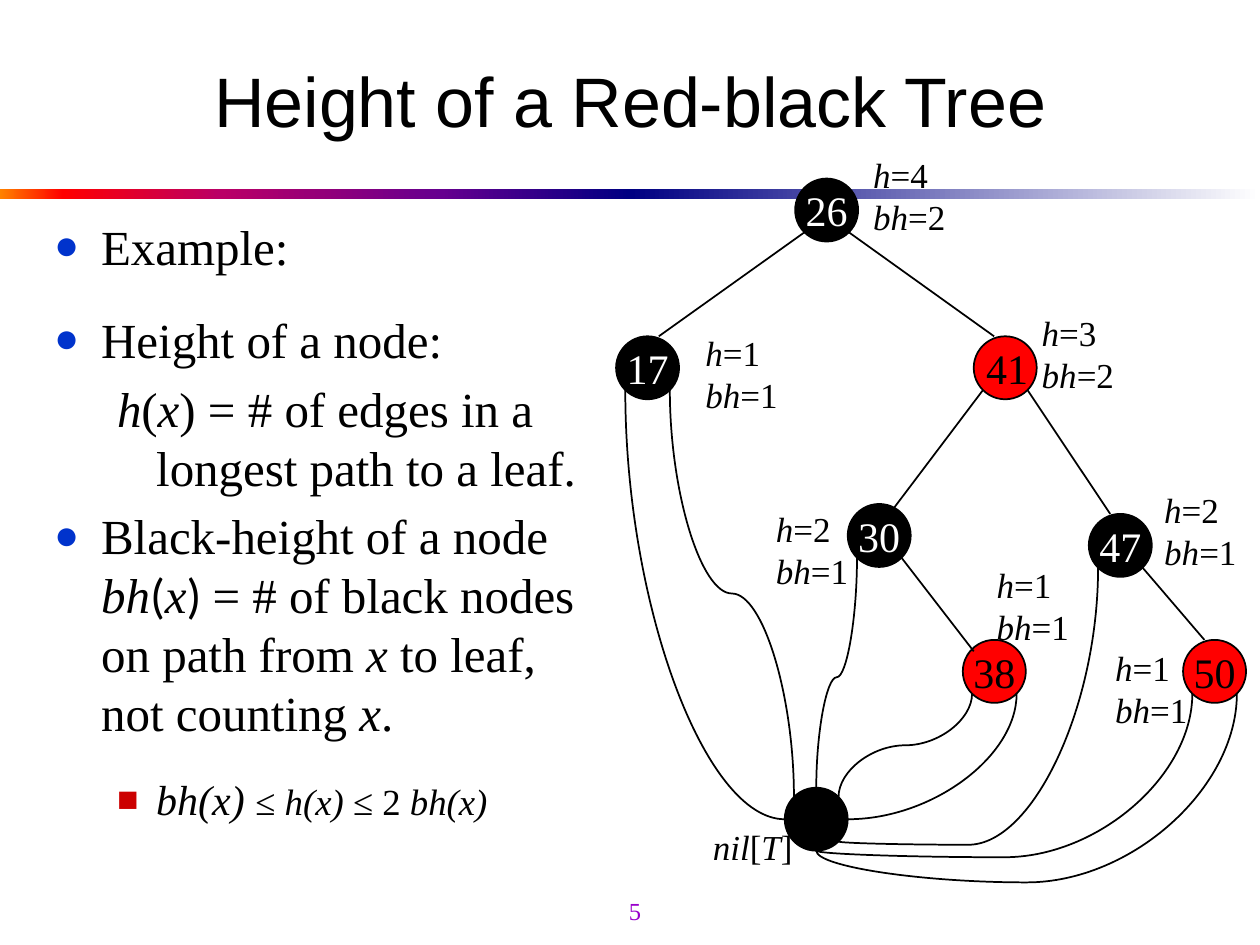
from dataclasses import dataclass
from math import cos, radians, sin

from lxml.etree import SubElement
from pptx import Presentation
from pptx.dml.color import RGBColor
from pptx.enum.shapes import MSO_CONNECTOR as Link, MSO_SHAPE as Preset
from pptx.enum.text import MSO_ANCHOR as Anchor, MSO_AUTO_SIZE as Fit, PP_ALIGN as Align
from pptx.oxml.ns import qn
from pptx.util import Cm, Pt


@dataclass(frozen=True)
class Theme:
    heading: str = "Arial"
    serif: str = "Times New Roman"
    sans: str = "Calibri"
    black: str = "000000"
    white: str = "FFFFFF"
    red: str = "FF0000"
    dot: str = "0033CC"
    square: str = "CC0000"
    number: str = "9900CC"
    title_size: int = 40
    body_size: int = 28
    node_size: int = 24
    formula_size: int = 21
    label_size: int = 20
    number_size: int = 14
    line: int = 1


theme = Theme()

TITLE = "Height of a Red-black Tree"
PAGE_NUMBER = "5"
BAR_TOP, BAR_HEIGHT, BAR_WIDTH = 3.81, 0.2, 12.7
BARS = [
    [(0, "FF8200"), (10, "FF0000"), (35, "BA0066"), (70, "66008F"), (100, "000082")],
    [(0, "000082"), (100, "FFFFFF")],
]

DOT, SQUARE = ("●", theme.dot), ("■", theme.square)
OUTER, INNER = (0.95, -0.95), (2.06, -0.79)
BODY = [
    (DOT, OUTER, 0, [("Example:",)]),
    (DOT, OUTER, 19.6, [("Height of a node:",)]),
    (None, INNER, 5.6, [("*h*(*x*) = # of edges in a longest path to a leaf.",)]),
    (DOT, OUTER, 5.6, [
        ("Black-height of a node *bh*",), ("(", theme.sans), ("*x*",), (") ", theme.sans),
        ("= # of black nodes on path from *x *to leaf, not counting *x*.",),
    ]),
    (SQUARE, INNER, 18.8, [
        ("*bh(x) *", theme.serif, theme.node_size),
        ("≤ *h(x) *≤ 2 *bh(x)*", theme.serif, theme.formula_size),
    ]),
]

DIAMETER = 1.27
NODES = {
    "26": (16.03, 3.6, theme.black, theme.white),
    "17": (12.42, 6.78, theme.black, theme.white),
    "41": (19.63, 6.78, theme.red, None),
    "30": (17.09, 10.16, theme.black, theme.white),
    "47": (21.95, 10.36, theme.black, theme.white),
    "38": (19.41, 12.9, theme.red, theme.black),
    "50": (23.85, 12.9, theme.red, theme.black),
    "nil": (15.82, 15.88, theme.black, None),
}

SITES = ["top", "top left", "left", "bottom left", "bottom", "bottom right", "right", "top right"]
TREE_EDGES = [
    ("26", "bottom left", 13.28, 6.78),
    ("26", "bottom right", 20.04, 6.78),
    ("41", "bottom left", 17.93, 10.36),
    ("41", "bottom right", 22.38, 10.36),
    ("47", "bottom right", 24.28, 12.9),
    ("30", "bottom right", 19.63, 13.13),
]
NIL_EDGES = [
    ("38", "bottom left", "top right", 50),
    ("38", "bottom right", "right", None),
    ("47", "bottom left", "bottom right", 101.2),
    ("30", "bottom left", "top", 52),
    ("17", "bottom right", "top left", 50),
    ("17", "bottom left", "left", None),
    ("50", "bottom left", "bottom", 104.2),
    ("50", "bottom right", "bottom", 120.2),
]

HEIGHTS = [
    (17.35, 2.97, 4, 2), (20.75, 6.15, 3, 2), (15.39, 10.11, 2, 1), (23.22, 9.73, 2, 1),
    (19.84, 11.23, 1, 1), (13.97, 6.55, 1, 1), (22.23, 12.9, 1, 1),
]
LABELS = [
    (19.63, 6.78, 1.35, 1.27, theme.node_size, ["41"]),
    (14.12, 16.51, 2.11, 1.09, theme.label_size, ["*nil*[*T*]"]),
] + [
    (left, top, 1.96, 1.96, theme.label_size, [f"*h*={height}", f"*bh*={black_height}"])
    for left, top, height, black_height in HEIGHTS
]


def color(value):
    return RGBColor.from_string(value)


def add_text(para, text, size, ink=theme.black, font=theme.serif):
    for index, part in enumerate(text.split("*")):
        if part:
            span = para.add_run()
            span.text = part
            span.font.name, span.font.size = font, Pt(size)
            span.font.color.rgb = color(ink)
            span.font.italic = index % 2 == 1


def add_box(page, left, top, width, height, wrap=False):
    box = page.shapes.add_textbox(Cm(left), Cm(top), Cm(width), Cm(height))
    box.text_frame.word_wrap = wrap
    return box.text_frame


def add_bar(page, index, stops):
    bar = page.shapes.add_shape(Preset.RECTANGLE, Cm(index * BAR_WIDTH), Cm(BAR_TOP),
                                Cm(BAR_WIDTH), Cm(BAR_HEIGHT))
    bar.shadow.inherit = False
    bar.line.fill.background()
    bar.fill.gradient()
    bar.fill.gradient_angle = 0
    stop_list = bar._element.spPr.find(qn("a:gradFill")).find(qn("a:gsLst"))
    for stop in list(stop_list):
        stop_list.remove(stop)
    for position, value in stops:
        stop = SubElement(stop_list, qn("a:gs"), pos=str(position * 1000))
        SubElement(stop, qn("a:srgbClr"), val=value)


def set_bullet(para, bullet, indent):
    props = para._p.get_or_add_pPr()
    props.set("marL", str(Cm(indent[0])))
    props.set("indent", str(Cm(indent[1])))
    if bullet is None:
        SubElement(props, qn("a:buNone"))
        return
    SubElement(SubElement(props, qn("a:buClr")), qn("a:srgbClr"), val=bullet[1])
    SubElement(props, qn("a:buSzPct"), val="85000")
    SubElement(props, qn("a:buFont"), typeface=theme.serif)
    SubElement(props, qn("a:buChar"), char=bullet[0])


def add_body(page):
    frame = add_box(page, 0.84, 4.24, 11.53, 13.34, wrap=True)
    for index, (bullet, indent, gap, spans) in enumerate(BODY):
        para = frame.add_paragraph() if index else frame.paragraphs[0]
        set_bullet(para, bullet, indent)
        para.space_before = Pt(gap)
        for text, font, size in ((*span, theme.serif, theme.body_size)[:3]
                                 if len(span) != 2 else (*span, theme.body_size) for span in spans):
            add_text(para, text, size, font=font)


def add_node(page, name, left, top, fill, ink):
    node = page.shapes.add_shape(Preset.OVAL, Cm(left), Cm(top), Cm(DIAMETER), Cm(DIAMETER))
    node.shadow.inherit = False
    node.fill.solid()
    node.fill.fore_color.rgb = color(fill)
    node.line.color.rgb = color(theme.black)
    node.line.width = Pt(theme.line)
    if ink:
        frame = node.text_frame
        frame.word_wrap, frame.vertical_anchor = False, Anchor.MIDDLE
        frame.paragraphs[0].alignment = Align.CENTER
        add_text(frame.paragraphs[0], name, theme.node_size, ink)
    return node


def site_point(name, site):
    left, top = NODES[name][:2]
    angle, radius = radians(45 * SITES.index(site)), DIAMETER / 2
    return left + radius - radius * sin(angle), top + radius - radius * cos(angle)


def add_line(page, kind, x1, y1, x2, y2):
    line = page.shapes.add_connector(kind, Cm(x1), Cm(y1), Cm(x2), Cm(y2))
    line.line.color.rgb = color(theme.black)
    line.line.width = Pt(theme.line)
    SubElement(line._element.spPr, qn("a:effectLst"))
    return line


def add_nil_edge(page, nodes, name, start, end, bend):
    (x1, y1), (x2, y2) = site_point(name, start), site_point("nil", end)
    half_run, half_rise = (y2 - y1) / 2, abs(x2 - x1) / 2
    x, y = (x1 + x2) / 2, (y1 + y2) / 2
    curve = add_line(page, Link.CURVE, x - half_run, y - half_rise, x + half_run, y + half_rise)
    props = curve._element.spPr
    frame, geometry = props.find(qn("a:xfrm")), props.find(qn("a:prstGeom"))
    frame.set("rot", str((90 if x2 < x1 else 270) * 60000))
    if x2 > x1:
        frame.set("flipH", "1")
    if bend is None:
        geometry.set("prst", "curvedConnector2")
    else:
        SubElement(geometry.find(qn("a:avLst")), qn("a:gd"), name="adj1",
                   fmla=f"val {round(bend * 1000)}")
    joints = curve._element.xpath(".//p:cNvCxnSpPr")[0]
    for tag, node, site in (("a:stCxn", nodes[name], start), ("a:endCxn", nodes["nil"], end)):
        SubElement(joints, qn(tag), id=str(node.shape_id), idx=str(SITES.index(site)))


def main():
    deck = Presentation()
    deck.slide_width, deck.slide_height = Cm(25.4), Cm(19.05)
    page = deck.slides.add_slide(deck.slide_layouts[5])
    title = page.shapes.title
    title.left, title.top, title.width, title.height = Cm(1.27), Cm(0.64), Cm(22.86), Cm(2.74)
    title.text_frame.vertical_anchor = Anchor.MIDDLE
    title.text_frame.paragraphs[0].alignment = Align.CENTER
    add_text(title.text_frame.paragraphs[0], TITLE, theme.title_size, font=theme.heading)
    for index, stops in enumerate(BARS):
        add_bar(page, index, stops)
    add_body(page)
    nodes = {name: add_node(page, name, *look) for name, look in NODES.items()}
    for name, site, x, y in TREE_EDGES:
        add_line(page, Link.STRAIGHT, *site_point(name, site), x, y)
    for edge in NIL_EDGES:
        add_nil_edge(page, nodes, *edge)
    for left, top, width, height, size, lines in LABELS:
        frame = add_box(page, left, top, width, height)
        frame.auto_size = Fit.SHAPE_TO_FIT_TEXT
        for index, text in enumerate(lines):
            add_text(frame.add_paragraph() if index else frame.paragraphs[0], text, size)
    frame = add_box(page, 10.16, 17.73, 5.28, 1.27)
    frame.vertical_anchor = Anchor.MIDDLE
    frame.paragraphs[0].alignment = Align.CENTER
    add_text(frame.paragraphs[0], PAGE_NUMBER, theme.number_size, theme.number)
    deck.save("out.pptx")


if __name__ == "__main__":
    main()
